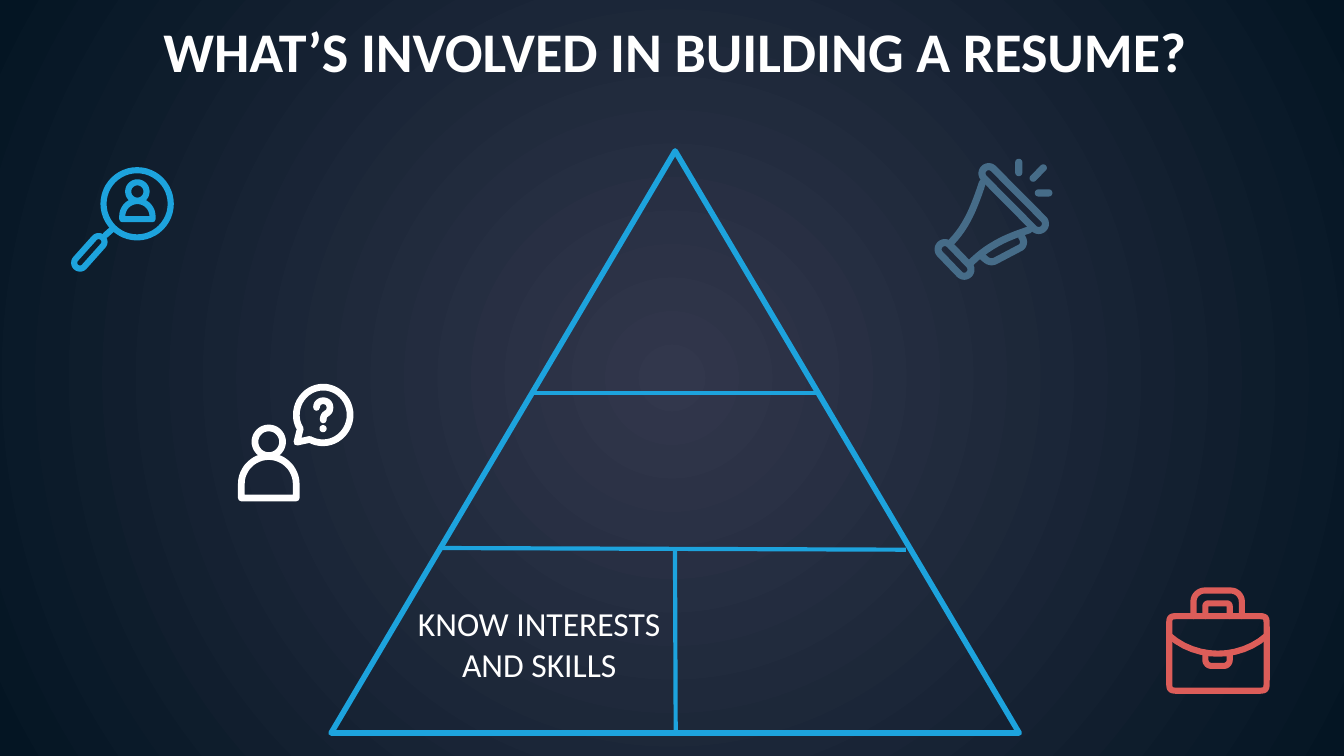
from dataclasses import dataclass
from math import atan2, cos, pi, sin

from lxml import etree
from pptx import Presentation
from pptx.dml.color import RGBColor
from pptx.enum.shapes import MSO_CONNECTOR, MSO_SHAPE
from pptx.enum.text import PP_ALIGN
from pptx.oxml.ns import qn
from pptx.util import Pt

TRIANGLE = MSO_SHAPE.FLOWCHART_EXTRACT
STRAIGHT = MSO_CONNECTOR.STRAIGHT
CENTER = PP_ALIGN.CENTER
CURVE_STEPS = 12


@dataclass(frozen=True)
class Theme:
    font: str = "Calibri"
    title_size: float = 30
    label_size: float = 18
    glow: str = "32374C"
    dark: str = "041523"
    white: str = "FFFFFF"
    blue: str = "1DA3DD"
    slate: str = "466C88"
    red: str = "DC5D59"


def bezier(start, controls):
    """Points along a cubic curve, without its start."""
    points = (start, *controls)
    for step in range(1, CURVE_STEPS + 1):
        t = step / CURVE_STEPS
        weights = ((1 - t) ** 3, 3 * t * (1 - t) ** 2, 3 * t * t * (1 - t), t ** 3)
        yield tuple(sum(w * pt[axis] for w, pt in zip(weights, points)) for axis in (0, 1))


def curve(start, *segments, close=False):
    """Contour of segments with one point (straight) or three points (cubic)."""
    points = [start]
    for segment in segments:
        points.extend(bezier(points[-1], segment) if len(segment) == 3 else segment)
    return points, close


def capsule(x1, y1, x2, y2, radius):
    """Contour at a fixed distance around the line between two points."""
    angle = atan2(y2 - y1, x2 - x1)
    points = []
    for x, y, first in ((x2, y2, angle - pi / 2), (x1, y1, angle + pi / 2)):
        for step in range(2 * CURVE_STEPS + 1):
            turn = first + pi * step / (2 * CURVE_STEPS)
            points.append((x + radius * cos(turn), y + radius * sin(turn)))
    return points, True


def circle(cx, cy, radius):
    return capsule(cx, cy, cx, cy, radius)


def arch(left, right, foot, top, radius, close=False):
    """Contour of a rounded U from foot to top; top may lie below foot."""
    bend = radius if foot > top else -radius
    k = 0.45
    shoulder, handle = top + bend, top + k * bend
    return curve(
        (left, foot),
        [(left, shoulder)],
        [(left, handle), (left + k * radius, top), (left + radius, top)],
        [(right - radius, top)],
        [(right - k * radius, top), (right, handle), (right, shoulder)],
        [(right, foot)],
        close=close)


def rounded_box(left, top, right, bottom, r):
    return curve(
        (left + r, top), [(right - r, top)],
        [(right, top), (right, top), (right, top + r)], [(right, bottom - r)],
        [(right, bottom), (right, bottom), (right - r, bottom)], [(left + r, bottom)],
        [(left, bottom), (left, bottom), (left, bottom - r)], [(left, top + r)],
        [(left, top), (left, top), (left + r, top)], close=True)


def person(cx, head_y, head_radius, top, foot, half_width):
    return [circle(cx, head_y, head_radius),
            arch(cx - half_width, cx + half_width, foot, top, half_width, close=True)]


class SlideBuilder:
    def __init__(self, slide, theme):
        self.s = slide
        self.theme = theme

    def background(self):
        fill = self.s.background.fill
        fill.gradient()
        for stop, color in zip(fill.gradient_stops, (self.theme.glow, self.theme.dark)):
            stop.color.rgb = RGBColor.from_string(color)
        grad = self.s.element.find(".//" + qn("a:gradFill"))
        grad.remove(grad.find(qn("a:lin")))
        radial = etree.SubElement(grad, qn("a:path"), {"path": "circle"})
        etree.SubElement(radial, qn("a:fillToRect"), dict.fromkeys("ltrb", "50000"))

    def text(self, x, y, w, h, content, size, bold=False):
        tf = self.s.shapes.add_textbox(Pt(x), Pt(y), Pt(w), Pt(h)).text_frame
        tf.word_wrap = True
        tf.margin_left = tf.margin_right = tf.margin_top = tf.margin_bottom = Pt(7.2)
        p = tf.paragraphs[0]
        p.alignment = CENTER
        r = p.add_run()
        r.text = content
        r.font.name = self.theme.font
        r.font.size = Pt(size)
        r.font.bold = bold
        r.font.color.rgb = RGBColor.from_string(self.theme.white)

    def stroke(self, sp, color, width, cap="flat"):
        """Give a shape or connector a line with round joins."""
        sp.line.color.rgb = RGBColor.from_string(color)
        sp.line.width = Pt(width)
        ln = sp.element.find(".//" + qn("a:ln"))
        ln.set("cap", cap)
        etree.SubElement(ln, qn("a:round"))

    def line(self, x1, y1, x2, y2, color, width):
        sp = self.s.shapes.add_connector(STRAIGHT, Pt(x1), Pt(y1), Pt(x2), Pt(y2))
        self.stroke(sp, color, width)
        etree.SubElement(sp.element.spPr, qn("a:effectLst"))

    def glyph(self, contours, color, width=None):
        """Draw contours as one freeform: stroked with a width, else filled."""
        builder = None
        for points, close in contours:
            first, *rest = [(Pt(x), Pt(y)) for x, y in points]
            if builder is None:
                builder = self.s.shapes.build_freeform(*first)
            else:
                builder.move_to(*first)
            builder.add_line_segments(rest, close=close)
        sp = builder.convert_to_shape()
        sp.shadow.inherit = False
        if width is None:
            sp.fill.solid()
            sp.fill.fore_color.rgb = RGBColor.from_string(color)
            sp.line.fill.background()
        else:
            sp.fill.background()
            self.stroke(sp, color, width, "rnd")

    def pyramid(self):
        blue = self.theme.blue
        sp = self.s.shapes.add_shape(TRIANGLE, Pt(177.4), Pt(80.9), Pt(368.6), Pt(311.8))
        sp.shadow.inherit = False
        sp.fill.background()
        self.stroke(sp, blue, 3)
        for ends in ((285.8, 210.7, 437.8, 210.7), (234.7, 293.6, 485.3, 294.5),
                     (362, 392.4, 361.6, 293.9)):
            self.line(*ends, blue, 2.25)

    def search_icon(self):
        pen = (self.theme.blue, 3.3)
        self.glyph([circle(73.5, 109.2, 18), curve((56.5, 126), [(60.5, 122.5)]),
                    capsule(52.9, 129.6, 42.9, 140.8, 3.1)], *pen)
        self.glyph(person(73.6, 102.6, 4.9, 107.7, 117.4, 8.1), *pen)

    def briefcase_icon(self):
        self.glyph([
            rounded_box(626.4, 330.1, 678.6, 370.1, 6),
            arch(639.4, 665.3, 330.1, 316.4, 6),
            arch(645.8, 658.8, 330.1, 323.3, 1.5),
            arch(645.8, 658.8, 350.6, 356.8, 3.2),
            curve((626.4, 340.5), [(641, 353.5), (664, 353.5), (678.6, 340.5)]),
        ], self.theme.red, 3.3)

    def question_icon(self):
        pen = (self.theme.white, 3.6)
        self.glyph([curve((169.6, 218.3),
                          [(169.6, 213.5), (176.8, 213.5), (176.8, 218.3)],
                          [(176.8, 222.4), (173.2, 220.6), (173.2, 225)])], *pen)
        self.glyph(person(144, 236.7, 7.4, 244.6, 266.8, 14.7), *pen)
        self.glyph([curve(
            (173.2, 207.4),
            [(181.1, 207.4), (187.6, 214.2), (187.6, 222.3)],
            [(187.6, 230.4), (181.1, 237.2), (173.2, 237.2)],
            [(170.6, 237.2), (168.1, 236.6), (166, 235.4)],
            [(159.1, 236.9)],
            [(160.9, 229.7)],
            [(159.5, 227.5), (158.8, 225), (158.8, 222.3)],
            [(158.8, 214.2), (165.2, 207.4), (173.2, 207.4)],
            close=True)], *pen)
        self.glyph([circle(173.1, 229.7, 1.9)], self.theme.white)

    def megaphone_icon(self):
        slate = self.theme.slate
        self.glyph([
            capsule(529.7, 92.9, 556.5, 119.9, 3.6),
            capsule(506.2, 133.6, 516.6, 144.4, 3.6),
            curve((526.3, 97.9), [(522, 111), (518, 121), (509.8, 129.6)]),
            curve((519.8, 141.1), [(531, 129.8), (543, 126), (551.5, 123.1)]),
            curve((526.3, 137.5),
                  [(528.5, 139.3)],
                  [(530, 140.4), (531.4, 140.4), (532.8, 140)],
                  [(546.5, 132.8)],
                  [(548.6, 131.8), (549, 128.9), (547.2, 126.7)]),
        ], slate, 3.8)
        for ray in ((553.5, 95.5, 558.9, 90), (545.8, 87, 545.8, 92.5),
                    (556.3, 103.4, 561.9, 103.4)):
            self.glyph([capsule(*ray, 1.9)], slate)


def main():
    prs = Presentation()
    prs.slide_width, prs.slide_height = Pt(720), Pt(405)
    theme = Theme()
    s = SlideBuilder(prs.slides.add_slide(prs.slide_layouts[6]), theme)
    s.background()
    s.text(1.8, 1.8, 720, 71.3, "WHAT’S INVOLVED IN BUILDING A RESUME?", theme.title_size, True)
    s.pyramid()
    s.search_icon()
    s.briefcase_icon()
    s.question_icon()
    s.megaphone_icon()
    s.text(215.8, 316, 146.2, 77.4, "KNOW INTERESTS AND SKILLS", theme.label_size)
    prs.save("out.pptx")


if __name__ == "__main__":
    main()
